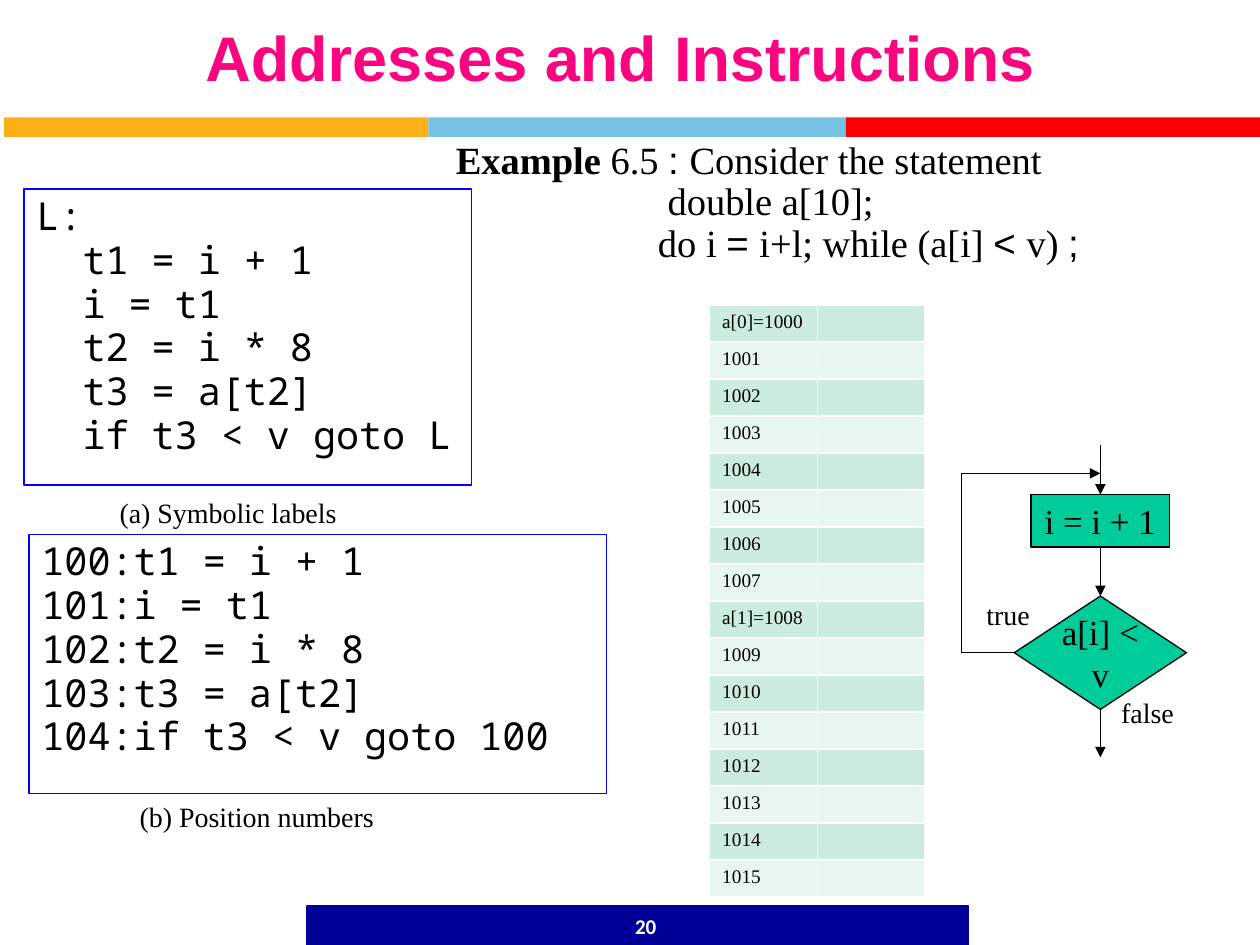
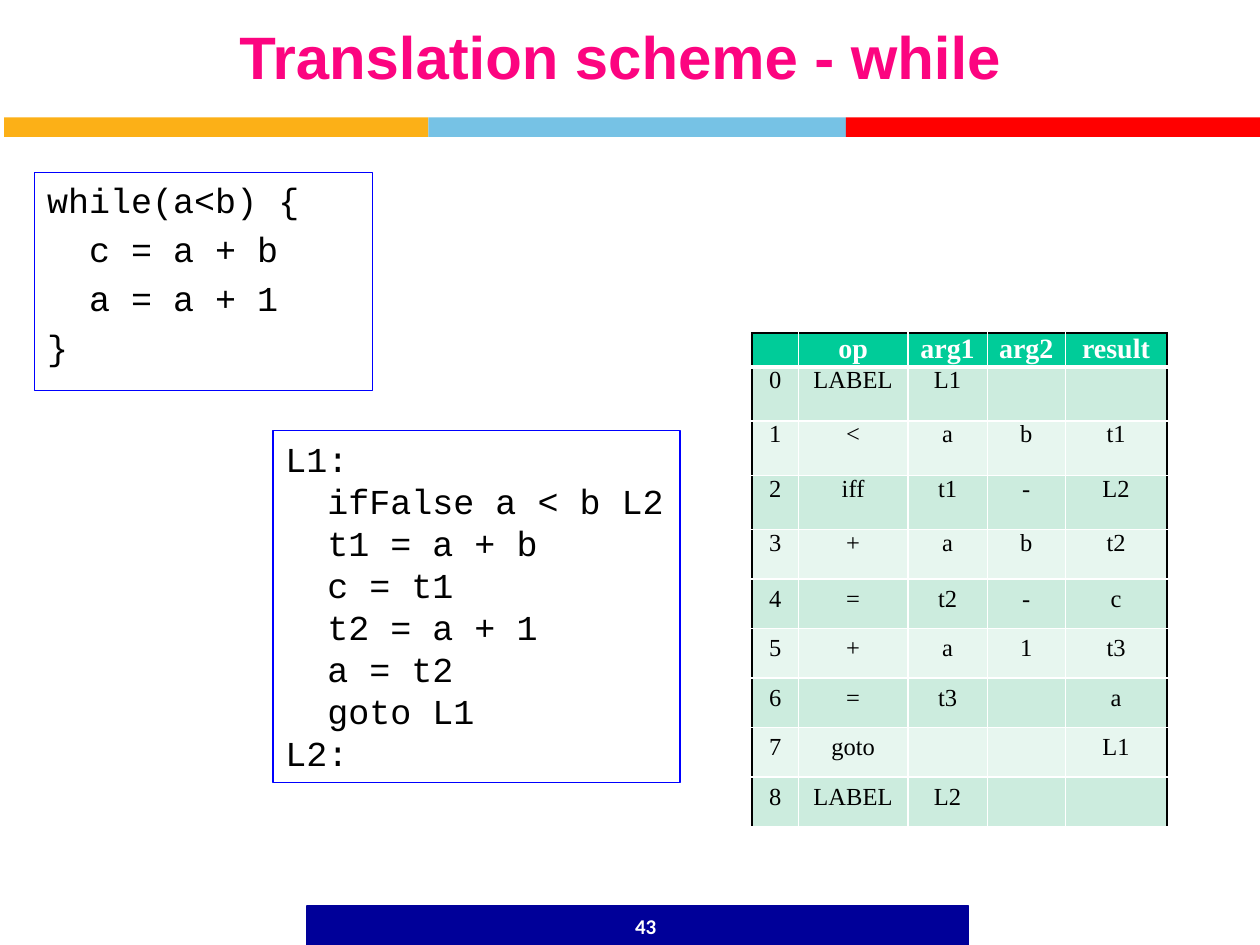
from itertools import accumulate

from pptx import Presentation
from pptx.dml.color import RGBColor
from pptx.enum.shapes import MSO_CONNECTOR, MSO_SHAPE as SHAPE
from pptx.enum.text import MSO_ANCHOR as ANCHOR, PP_ALIGN as ALIGN
from pptx.oxml import parse_xml
from pptx.oxml.ns import nsdecls, qn
from pptx.util import Pt

# Colours and fonts
BLACK, WHITE = RGBColor(0, 0, 0), RGBColor(255, 255, 255)
PINK, NAVY = RGBColor(0xFC, 0x04, 0x80), RGBColor(0, 0, 0x99)
ORANGE, SKY = RGBColor(0xFC, 0xB0, 0x17), RGBColor(0x76, 0xC2, 0xE5)
RED, BLUE = RGBColor(255, 0, 0), RGBColor(0, 0, 255)
GREEN = RGBColor(0, 0xCC, 0x99)
STRIPES = RGBColor(0xCC, 0xEC, 0xDE), RGBColor(0xE7, 0xF6, 0xEF)
SERIF, SANS, FOOTER_FONT = "Times New Roman", "Arial", "Calibri"
MONO, COURIER = "Noto Sans Mono", "Courier New"

# Content: leading spaces in code become a left indent
SYMBOLIC_CODE = ["L:", "  t1 = i + 1", "  i = t1", "  t2 = i * 8",
                 "  t3 = a[t2]", "  if t3 < v goto L"]
NUMBERED_CODE = ["100:t1 = i + 1", "101:i = t1", "102:t2 = i * 8",
                 "103:t3 = a[t2]", "104:if t3 < v goto 100"]
WHILE_CODE = ["while(a<b) {", "  c = a + b", "  a = a + 1", "}"]
THREE_ADDRESS_CODE = ["L1:", "  ifFalse a < b L2", "  t1 = a + b", "  c = t1",
                      "  t2 = a + 1", "  a = t2", "  goto L1", "L2:"]
# Each line of the example: left indent, then runs of (text, font, bold)
EXAMPLE = [
    (0, [("Example ", SERIF, True), ("6.5 ", SERIF, False), (": ", SANS, False),
         ("Consider the statement", SERIF, False)]),
    (121, [("double a[10];", SERIF, False)]),
    (115.5, [("do i ", SERIF, False), ("= ", SANS, False),
             ("i+l; while (a[i] ", SERIF, False), ("< ", SANS, False),
             ("v) ", SERIF, False), (";", SANS, False)]),
]
FIRST_ADDRESS, ELEMENT_BYTES = 1000, 8
QUADRUPLES = [
    ("", "op", "arg1", "arg2", "result"),
    ("0", "LABEL", "L1", "", ""),
    ("1", "<", "a", "b", "t1"),
    ("2", "iff", "t1", "-", "L2"),
    ("3", "+", "a", "b", "t2"),
    ("4", "=", "t2", "-", "c"),
    ("5", "+", "a", "1", "t3"),
    ("6", "=", "t3", "", "a"),
    ("7", "goto", "", "", "L1"),
    ("8", "LABEL", "L2", "", ""),
]


def style(paragraph, font, size, color=BLACK, bold=False, align=None, indent=0):
    paragraph.font.name, paragraph.font.size = font, Pt(size)
    paragraph.font.color.rgb, paragraph.font.bold = color, bold
    paragraph.alignment = align
    if indent:
        properties = paragraph._p.get_or_add_pPr()
        properties.set("marL", str(Pt(indent)))
        properties.set("indent", "0")


def add_label(slide, text, box, font, size, wrap=False, anchor=ANCHOR.TOP, **look):
    frame = slide.shapes.add_textbox(*map(Pt, box)).text_frame
    frame.word_wrap, frame.vertical_anchor = wrap, anchor
    paragraph = frame.paragraphs[0]
    paragraph.text = text
    style(paragraph, font, size, **look)
    return paragraph


def add_block(slide, kind, box, fill=None, line=None, width=0.75):
    block = slide.shapes.add_shape(kind, *map(Pt, box))
    block.shadow.inherit = False
    if fill is None:
        block.fill.background()
    else:
        block.fill.solid()
        block.fill.fore_color.rgb = fill
    if line is None:
        block.line.fill.background()
    else:
        block.line.color.rgb, block.line.width = line, Pt(width)
    return block


def add_code(slide, lines, box, font, size, spacing=1.0, before=0):
    frame = add_block(slide, SHAPE.RECTANGLE, box, line=BLUE).text_frame
    frame.word_wrap, frame.vertical_anchor = True, ANCHOR.TOP
    for number, line in enumerate(lines):
        paragraph = frame.add_paragraph() if number else frame.paragraphs[0]
        code = paragraph.text = line.lstrip()
        char_width = 0.6 * size
        style(paragraph, font, size, align=ALIGN.LEFT,
              indent=char_width * (len(line) - len(code)))
        paragraph.line_spacing, paragraph.space_before = spacing, Pt(before)


def add_flow_step(slide, kind, text, box):
    step = add_block(slide, kind, box, fill=GREEN, line=BLACK)
    frame = step.text_frame
    frame.word_wrap, frame.vertical_anchor = True, ANCHOR.MIDDLE
    frame.margin_left = frame.margin_right = frame.margin_top = frame.margin_bottom = 0
    frame.text = text
    style(frame.paragraphs[0], SERIF, 20, align=ALIGN.CENTER)
    return step


def add_flow_line(slide, start, end, source=None, target=None, arrow=True):
    """source and target are (step, side) pairs that hold the ends."""
    flow = slide.shapes.add_connector(MSO_CONNECTOR.STRAIGHT, *map(Pt, start + end))
    if source:
        flow.begin_connect(*source)
    if target:
        flow.end_connect(*target)
    flow.line.color.rgb, flow.line.width = BLACK, Pt(0.75)
    if arrow:
        flow.line._get_or_add_ln().append(
            parse_xml(f'<a:tailEnd {nsdecls("a")} type="triangle"/>'))
    flow._element.find(qn("p:spPr")).append(
        parse_xml(f'<a:effectLst {nsdecls("a")}/>'))


def set_borders(cell, **special):
    """Draw white 1 pt borders, except sides given as (colour, width)."""
    properties = cell._tc.get_or_add_tcPr()
    for place, side in enumerate("LRTB"):
        color, width = special.get(side, (WHITE, 1))
        properties.insert(place, parse_xml(
            f'<a:ln{side} {nsdecls("a")} w="{Pt(width)}"><a:solidFill>'
            f'<a:srgbClr val="{color}"/></a:solidFill></a:ln{side}>'))


def add_grid(slide, left, top, widths, heights):
    grid = slide.shapes.add_table(len(heights), len(widths), Pt(left), Pt(top),
                                  Pt(sum(widths)), Pt(sum(heights))).table
    grid.first_row = grid.horz_banding = False
    for column, width in zip(grid.columns, widths):
        column.width = Pt(width)
    for row, height in zip(grid.rows, heights):
        row.height = Pt(height)
    return grid


def fill_cell(cell, text, size, fill, color=BLACK, bold=False, align=None):
    cell.fill.solid()
    cell.fill.fore_color.rgb = fill
    cell.text = text
    style(cell.text_frame.paragraphs[0], SERIF, size, color, bold, align)


def add_base(deck, title, title_size, number):
    """A new slide with the shared title, colour band and footer."""
    slide = deck.slides.add_slide(deck.slide_layouts[6])
    widths = (242.4, 238.6, 239)
    lefts = accumulate(widths, initial=2.4)
    for left, width, color in zip(lefts, widths, (ORANGE, SKY, RED)):
        add_block(slide, SHAPE.RECTANGLE, (left, 67, width, 11.2), fill=color)
    add_block(slide, SHAPE.RECTANGLE, (175.5, 517.7, 378, 22.3), NAVY, NAVY, 1)
    add_label(slide, title, (9.4, 12.2, 690, 48), SANS, title_size, wrap=True,
              color=PINK, bold=True, align=ALIGN.CENTER).line_spacing = 0.9
    add_label(slide, number, (288, 514.8, 162, 28.8), FOOTER_FONT, 12, wrap=True,
              anchor=ANCHOR.MIDDLE, color=WHITE, bold=True, align=ALIGN.CENTER)
    return slide


def add_example(slide):
    frame = slide.shapes.add_textbox(Pt(253.4), Pt(77), Pt(550), Pt(79)).text_frame
    frame.word_wrap = True
    for number, (indent, runs) in enumerate(EXAMPLE):
        paragraph = frame.add_paragraph() if number else frame.paragraphs[0]
        style(paragraph, SERIF, 22, indent=indent)
        paragraph.line_spacing = 0.9
        for text, font, bold in runs:
            run = paragraph.add_run()
            run.text, run.font.name, run.font.bold = text, font, bold


def add_memory(slide):
    row_height = 21.15
    for element in range(2):
        top = 174.3 + element * ELEMENT_BYTES * row_height
        grid = add_grid(slide, 405.5, top, [61.6] * 2, [row_height] * ELEMENT_BYTES)
        for byte in range(ELEMENT_BYTES):
            address = FIRST_ADDRESS + element * ELEMENT_BYTES + byte
            name = f"{address}" if byte else f"a[{element}]={address}"
            for column, text in enumerate((name, "")):
                cell = grid.cell(byte, column)
                fill_cell(cell, text, 11, STRIPES[byte % 2])
                set_borders(cell)


def add_loop_flowchart(slide):
    axis, loop_x, loop_y, test_y = 628.8, 549.4, 270.5, 373
    increment = add_flow_step(slide, SHAPE.FLOWCHART_PROCESS, "i = i + 1",
                              (axis - 39.6, 282.6, 79.2, 30))
    test = add_flow_step(slide, SHAPE.FLOWCHART_DECISION, "a[i] < v",
                         (axis - 49.2, test_y - 32.4, 98.4, 64.8))
    add_flow_line(slide, (axis, 254.2), (axis, 282.6), target=(increment, 0))
    add_flow_line(slide, (axis, 312.6), (axis, 340.6), (increment, 2), (test, 0))
    add_flow_line(slide, (axis, 405.4), (axis, 432.8), source=(test, 2))
    # Way back when the test is true
    add_flow_line(slide, (axis - 49.2, test_y), (loop_x, test_y), (test, 1), arrow=False)
    add_flow_line(slide, (loop_x, test_y), (loop_x, loop_y), arrow=False)
    add_flow_line(slide, (loop_x, loop_y), (axis, loop_y))
    add_label(slide, "false", (633.6, 393.8, 45.4, 26.6), SERIF, 16)
    add_label(slide, "true", (556.6, 337.7, 39.6, 26.6), SERIF, 16)


def add_quadruples(slide):
    heights = [18.9] + [31] * 3 + [28.3] * 6
    grid = add_grid(slide, 429.8, 190.4, (26.4, 62.6, 45.4, 44.6, 58), heights)
    last_column = len(QUADRUPLES[0]) - 1
    for r, quadruple in enumerate(QUADRUPLES):
        for c, text in enumerate(quadruple):
            cell = grid.cell(r, c)
            if r < 5:
                cell.margin_left = cell.margin_right = 0
                cell.margin_top = cell.margin_bottom = 0
            borders = {}
            if r == 0:
                fill_cell(cell, text, 16, GREEN, WHITE, True, ALIGN.CENTER)
                borders.update(T=(BLACK, 1), B=(WHITE, 3))
            else:
                fill_cell(cell, text, 14, STRIPES[(r - 1) % 2], align=ALIGN.CENTER)
            if r == 1:
                borders["T"] = WHITE, 3
            if c == 0:
                borders["L"] = BLACK, 1
            if c == last_column:
                borders["R"] = BLACK, 1
            set_borders(cell, **borders)


def main():
    deck = Presentation()
    deck.slide_width, deck.slide_height = Pt(720), Pt(540)

    # Addresses and instructions
    addresses = add_base(deck, "Addresses and Instructions", 36, "20")
    add_example(addresses)
    add_label(addresses, "(a) Symbolic labels", (61.2, 279.4, 140.4, 26.6), SERIF, 16)
    add_label(addresses, "(b) Position numbers", (72.7, 453.6, 150.5, 26.6), SERIF, 16)
    add_loop_flowchart(addresses)
    add_code(addresses, SYMBOLIC_CODE, (13.7, 108, 255.6, 169.2), MONO, 22, 0.95)
    add_code(addresses, NUMBERED_CODE, (16.6, 305.3, 329.8, 148.3), MONO, 22, 0.95)
    add_memory(addresses)

    # Translation of while
    translation = add_base(deck, "Translation scheme - while", 34.2, "43")
    add_code(translation, WHILE_CODE, (19.8, 98.6, 193, 124.6), COURIER, 20, before=4)
    add_code(translation, THREE_ADDRESS_CODE, (156, 246.2, 232.6, 200.9), COURIER, 20)
    add_quadruples(translation)

    deck.save("out.pptx")


if __name__ == "__main__":
    main()
